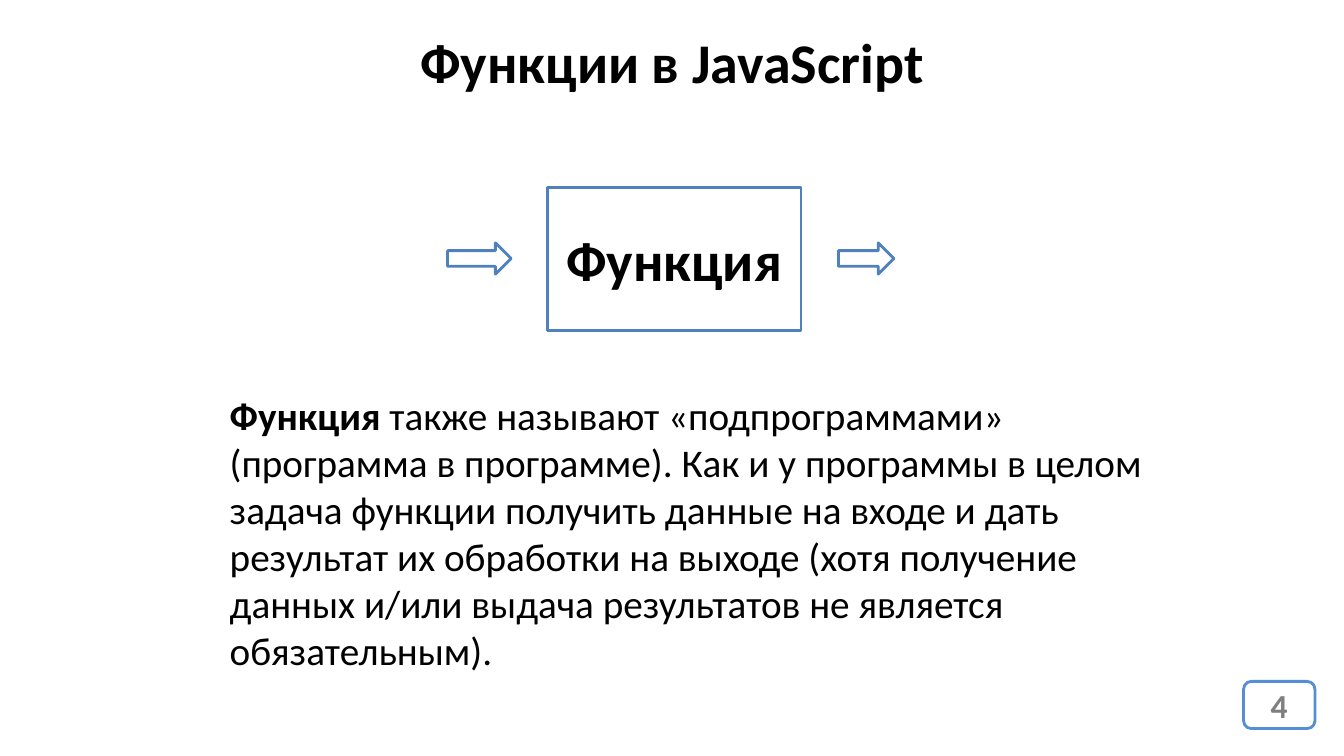
import dataclasses

import pptx
import pptx.dml.color
import pptx.enum.shapes
import pptx.enum.text
import pptx.util

Cm = pptx.util.Cm
Kind = pptx.enum.shapes.MSO_SHAPE
Align = pptx.enum.text.PP_ALIGN
Anchor = pptx.enum.text.MSO_ANCHOR
Fit = pptx.enum.text.MSO_AUTO_SIZE


@dataclasses.dataclass(frozen=True)
class Theme:
    font: str = "Calibri"
    ink: str = "000000"
    gray: str = "808080"
    paper: str = "FFFFFF"
    blue: str = "4F81BD"
    sky: str = "558ED5"
    head: int = 40
    body: int = 28
    small: int = 24
    line: int = 2


def rgb(code):
    return pptx.dml.color.RGBColor.from_string(code)


def write(frame, *parts, font, size, color, align=Align.CENTER,
          anchor=Anchor.MIDDLE, fit=Fit.NONE):
    """Fill one paragraph with (text, bold) parts."""
    frame.word_wrap = True
    frame.auto_size = fit
    frame.vertical_anchor = anchor
    para = frame.paragraphs[0]
    para.alignment = align
    for text, bold in parts:
        run = para.add_run()
        run.text = text
        run.font.name = font
        run.font.size = pptx.util.Pt(size)
        run.font.bold = bold
        run.font.color.rgb = rgb(color)


class Deck:
    def __init__(self, theme):
        self.theme = theme
        self.show = pptx.Presentation()
        self.show.slide_width = Cm(33.87)
        self.show.slide_height = Cm(19.05)
        self.slide = self.show.slides.add_slide(self.show.slide_layouts[5])

    def title(self, text, left, top, width, height):
        item = self.slide.shapes.title
        item.left, item.top = Cm(left), Cm(top)
        item.width, item.height = Cm(width), Cm(height)
        write(item.text_frame, (text, True), font=self.theme.font,
              size=self.theme.head, color=self.theme.ink)

    def note(self, parts, left, top, width, height):
        item = self.slide.shapes.add_textbox(
            Cm(left), Cm(top), Cm(width), Cm(height))
        write(item.text_frame, *parts, font=self.theme.font,
              size=self.theme.body, color=self.theme.ink, align=Align.LEFT,
              anchor=Anchor.TOP, fit=Fit.SHAPE_TO_FIT_TEXT)

    def shape(self, kind, left, top, width, height, line,
              text=None, size=None, color=None):
        item = self.slide.shapes.add_shape(
            kind, Cm(left), Cm(top), Cm(width), Cm(height))
        item.shadow.inherit = False
        item.fill.solid()
        item.fill.fore_color.rgb = rgb(self.theme.paper)
        item.line.color.rgb = rgb(line)
        item.line.width = pptx.util.Pt(self.theme.line)
        if text:
            write(item.text_frame, (text, True), font=self.theme.font,
                  size=size, color=color)


def main():
    theme = Theme()
    deck = Deck(theme)
    deck.title("Функции в JavaScript", 0, 0.53, 33.87, 2.01)
    deck.shape(Kind.ROUNDED_RECTANGLE, 31.34, 17.17, 1.8, 1.19, theme.sky,
               "4", theme.small, theme.gray)
    deck.note([
        ("Функция ", True),
        ("также называют «подпрограммами» (программа в программе). "
         "Как и у программы в целом задача функции получить данные на входе "
         "и дать результат их обработки на выходе (хотя получение данных "
         "и/или выдача результатов не является обязательным).", False),
    ], 5.54, 9.73, 24.89, 7.44)
    deck.shape(Kind.RECTANGLE, 13.79, 4.72, 6.4, 3.61, theme.blue,
               "Функция", theme.head, theme.ink)
    for left, width in ((11.28, 1.6), (21.13, 1.4)):
        deck.shape(Kind.RIGHT_ARROW, left, 6.12, width, 0.79, theme.blue)
    deck.show.save("out.pptx")


if __name__ == "__main__":
    main()
